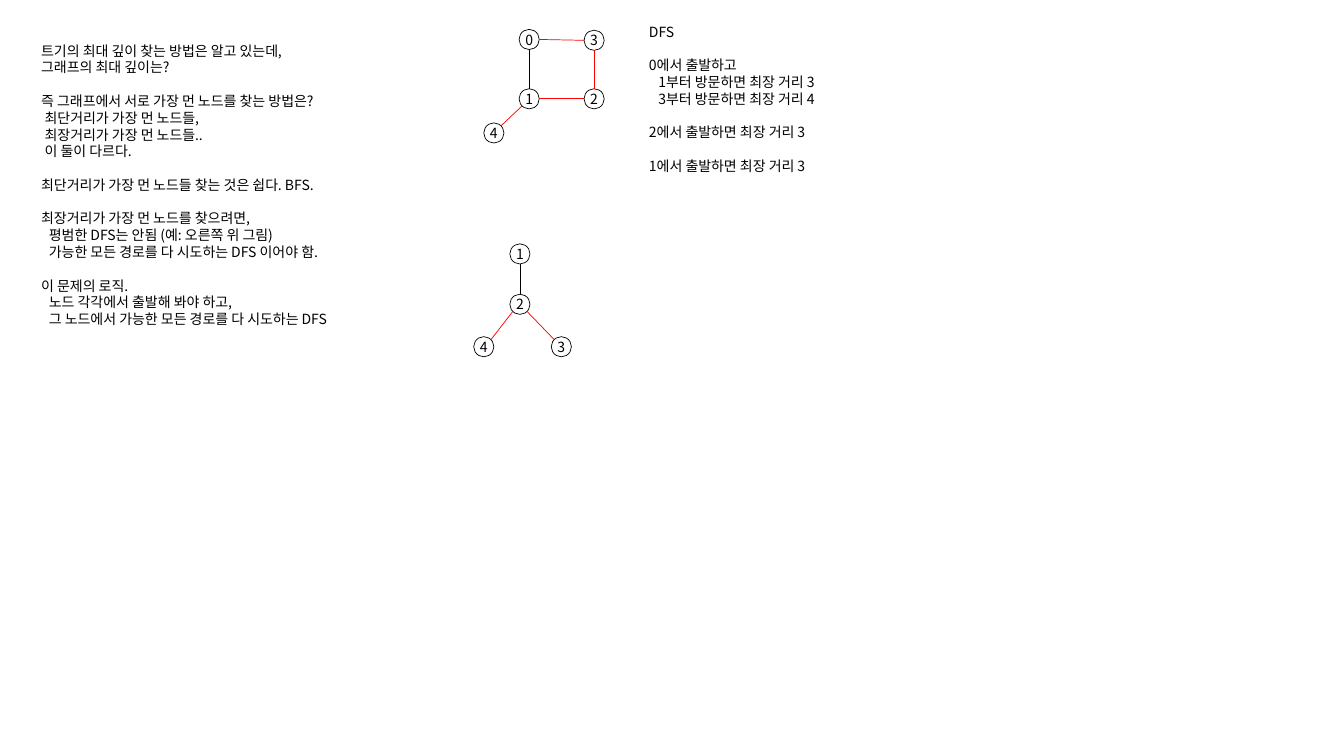
import math

from lxml import etree
from pptx import Presentation
from pptx.dml.color import RGBColor
from pptx.enum import shapes, text
from pptx.oxml import ns
from pptx.util import Pt

COLORS = {"ink": "000000", "path": "FF0000", "node": "FFFFFF"}
FONT = {"name": "Noto Sans CJK KR", "size": Pt(10)}
LINE_HEIGHT = 12
NODE_SIZE = 14.4

# Each note is a list of blocks; each block is a list of (indent, line).
QUESTION_NOTE = [
    [(0, "트기의 최대 깊이 찾는 방법은 알고 있는데, "),
     (0, "그래프의 최대 깊이는?")],
    [(0, "즉 그래프에서 서로 가장 먼 노드를 찾는 방법은?"),
     (2.5, "최단거리가 가장 먼 노드들,"),
     (2.5, "최장거리가 가장 먼 노드들.."),
     (2.5, "이 둘이 다르다.")],
    [(0, "최단거리가 가장 먼 노드들 찾는 것은 쉽다. BFS.")],
    [(0, "최장거리가 가장 먼 노드를 찾으려면,"),
     (5.5, "평범한 DFS는 안됨 (예: 오른쪽 위 그림)"),
     (5.5, "가능한 모든 경로를 다 시도하는 DFS 이어야 함.")],
    [(0, "이 문제의 로직."),
     (5.5, "노드 각각에서 출발해 봐야 하고,"),
     (5.5, "그 노드에서 가능한 모든 경로를 다 시도하는 DFS")],
]
DFS_NOTE = [
    [(0, "DFS")],
    [(0, "0에서 출발하고 "),
     (6.7, "1부터 방문하면 최장 거리 3"),
     (6.7, "3부터 방문하면 최장 거리 4")],
    [(0, "2에서 출발하면 최장 거리 3")],
    [(0, "1에서 출발하면 최장 거리 3")],
]
# (left, top, width, height), wrap, blocks
NOTES = [
    ((22.3, 26.6, 267.8, 249.8), True, QUESTION_NOTE),
    ((456.5, 13, 151.2, 116.6), False, DFS_NOTE),
]

# Nodes: label -> (left, top). Edges: (from, side, to, side, colour).
CYCLE_GRAPH = {
    "nodes": {"0": (370.8, 21), "1": (370.8, 63.4), "2": (417.2, 63.4),
              "3": (417.2, 21.6), "4": (345.6, 87.8)},
    "edges": [("0", "S", "1", "N", "ink"), ("4", "NE", "1", "SW", "path"),
              ("3", "W", "0", "E", "path"), ("2", "N", "3", "S", "path"),
              ("2", "W", "1", "E", "path")],
}
TREE_GRAPH = {
    "nodes": {"1": (364.2, 174.2), "2": (364.2, 210.2),
              "3": (393.8, 240.5), "4": (338.4, 240.5)},
    "edges": [("1", "S", "2", "N", "ink"), ("4", "NE", "2", "SW", "path"),
              ("3", "NW", "2", "SE", "path")],
}
ANGLES = {side: 45 * step for step, side in
          enumerate(("E", "SE", "S", "SW", "W", "NW", "N", "NE"))}


def color(name):
    """Return the named colour."""
    return RGBColor.from_string(COLORS[name])


def set_all(target, values):
    """Set every attribute in a dict on the target."""
    for name, value in values.items():
        setattr(target, name, value)


def write_line(paragraph, line):
    """Put one line of formatted text in a paragraph."""
    run = paragraph.add_run()
    run.text = line
    set_all(run.font, FONT)
    run.font.color.rgb = color("ink")
    properties = run._r.get_or_add_rPr()
    east_asian = etree.SubElement(properties, ns.qn("a:ea"))
    east_asian.set("typeface", FONT["name"])


def add_note(slide, box, wrap, blocks):
    """Add a text box whose blocks are one line apart."""
    frame = slide.shapes.add_textbox(*map(Pt, box)).text_frame
    set_all(frame, {"word_wrap": wrap,
                    "auto_size": text.MSO_AUTO_SIZE.SHAPE_TO_FIT_TEXT})
    paragraph = frame.paragraphs[0]
    for block_index, block in enumerate(blocks):
        for line_index, (indent, line) in enumerate(block):
            if block_index or line_index:
                paragraph = frame.add_paragraph()
            paragraph.line_spacing = Pt(LINE_HEIGHT)
            if block_index and not line_index:
                paragraph.space_before = Pt(LINE_HEIGHT)
            if indent:
                paragraph._p.get_or_add_pPr().set("marL", str(Pt(indent)))
            write_line(paragraph, line)


def add_node(slide, label, position):
    """Add a numbered circle."""
    node = slide.shapes.add_shape(shapes.MSO_SHAPE.OVAL, *map(Pt, position),
                                  Pt(NODE_SIZE), Pt(NODE_SIZE))
    node.shadow.inherit = False
    node.fill.solid()
    node.fill.fore_color.rgb = color("node")
    node.line.color.rgb = color("ink")
    node.line.width = Pt(0.5)
    frame = node.text_frame
    set_all(frame, {"margin_left": 0, "margin_right": 0, "margin_top": 0,
                    "margin_bottom": 0, "word_wrap": False,
                    "vertical_anchor": text.MSO_ANCHOR.MIDDLE})
    frame.paragraphs[0].alignment = text.PP_ALIGN.CENTER
    write_line(frame.paragraphs[0], label)


def rim_point(position, side):
    """Return the point on a node's rim at a compass side."""
    angle = math.radians(ANGLES[side])
    radius = NODE_SIZE / 2
    return (Pt(position[0] + radius + radius * math.cos(angle)),
            Pt(position[1] + radius + radius * math.sin(angle)))


def add_edge(slide, start, end, color_name):
    """Add a thin straight line between two points."""
    edge = slide.shapes.add_connector(shapes.MSO_CONNECTOR.STRAIGHT,
                                      *start, *end)
    edge.line.color.rgb = color(color_name)
    edge.line.width = Pt(0.5)
    etree.SubElement(edge._element.spPr, ns.qn("a:effectLst"))


def add_graph(slide, graph):
    """Add all nodes and edges of a graph."""
    nodes = graph["nodes"]
    for label, position in nodes.items():
        add_node(slide, label, position)
    for first, first_side, second, second_side, color_name in graph["edges"]:
        add_edge(slide, rim_point(nodes[first], first_side),
                 rim_point(nodes[second], second_side), color_name)


presentation = Presentation()
set_all(presentation, {"slide_width": Pt(960), "slide_height": Pt(540)})
slide = presentation.slides.add_slide(presentation.slide_layouts[6])
for note in NOTES:
    add_note(slide, *note)
for graph in (CYCLE_GRAPH, TREE_GRAPH):
    add_graph(slide, graph)
presentation.save("out.pptx")
